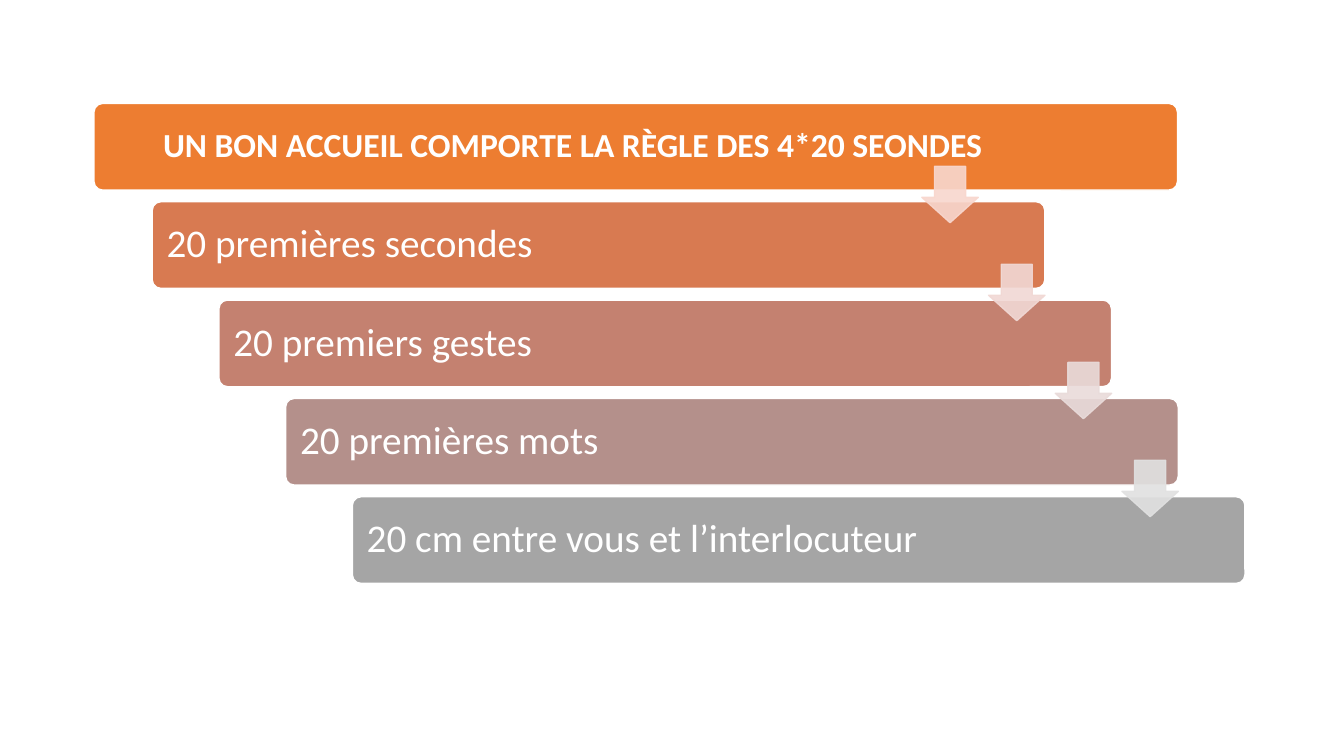
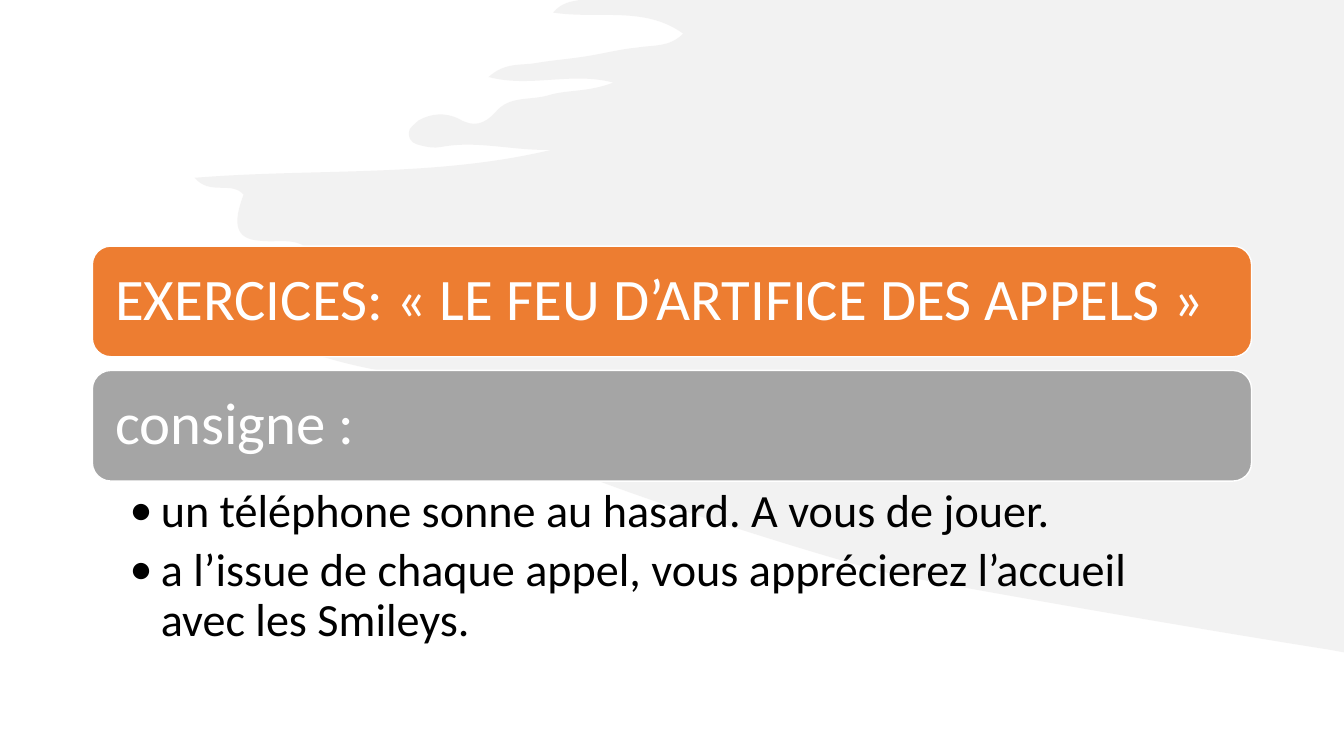
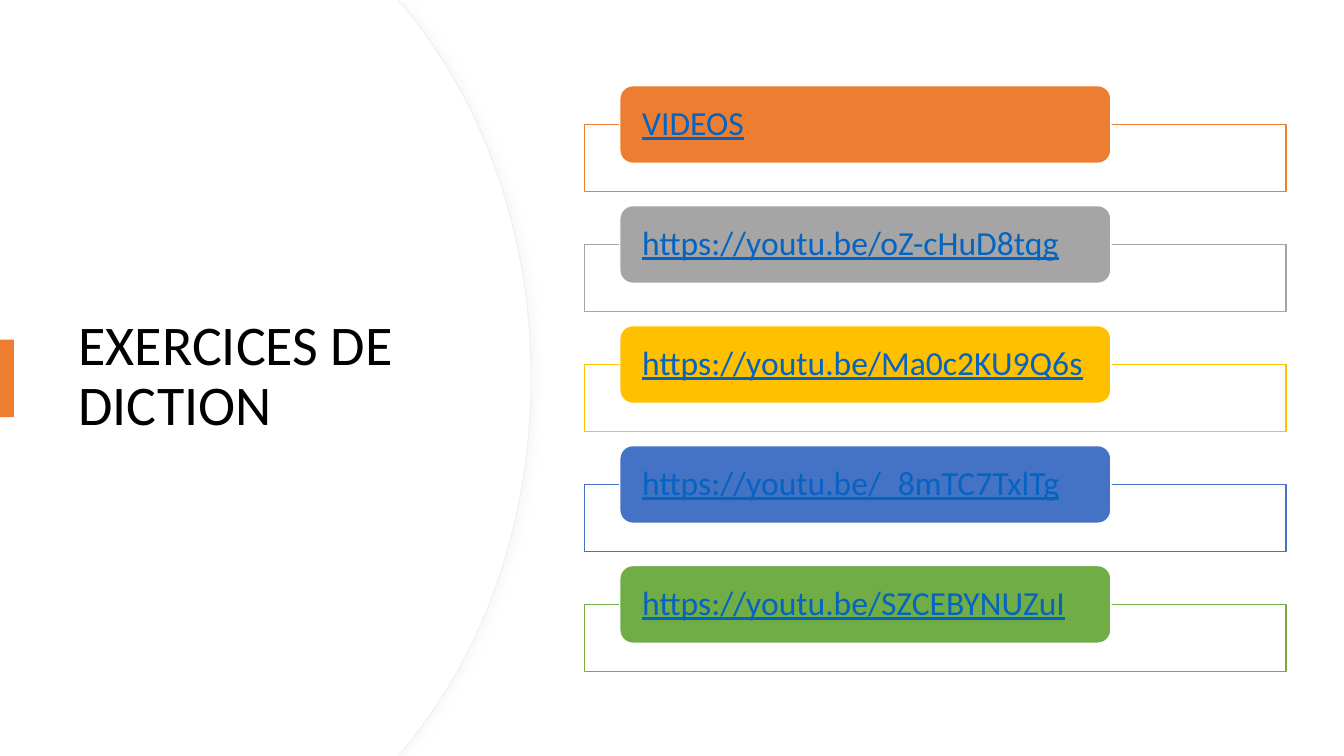
from dataclasses import dataclass
from itertools import chain

from lxml.etree import SubElement
from pptx import Presentation
from pptx.dml.color import RGBColor
from pptx.enum.shapes import MSO_SHAPE as Preset
from pptx.enum.text import MSO_ANCHOR as Anchor, PP_ALIGN as Align
from pptx.oxml.ns import qn
from pptx.util import Pt


@dataclass(frozen=True)
class Theme:
    font: str = "Calibri"
    white: str = "FFFFFF"
    black: str = "000000"
    orange: str = "ED7D31"
    grey: str = "A5A5A5"
    gold: str = "FFC000"
    blue: str = "4472C4"
    green: str = "70AD47"
    link: str = "0563C1"
    splash: str = "E7E6E6"
    disc_edge: str = "EFEFEF"
    disc_shadow: str = "D9D9D9"
    step_fills: tuple = ("D87A51", "C48170", "B4908B", "A5A5A5")
    arrow_fills: tuple = ("F8D7CE", "F1D8D4", "E9DBDA", "E1E1E1")
    small: float = 24
    step: float = 28
    bullet: float = 33
    title: float = 40
    heading: float = 42


THEME = Theme()
WIDTH, HEIGHT = 960, 540

# Each curve: two control points and an end point
SPLASH_CURVES = [
    (408, 1, 401, 2, 395, 9), (428, 14, 460, 4, 488, 24),
    (478, 34, 467, 32, 455, 34), (444, 35, 432, 38, 420, 40),
    (408, 42, 395, 43, 383, 45), (373, 47, 361, 44, 349, 55),
    (379, 63, 408, 51, 438, 59), (420, 66, 405, 64, 392, 68),
    (379, 72, 364, 68, 354, 80), (346, 89, 338, 91, 328, 85),
    (318, 80, 308, 81, 299, 86), (296, 89, 292, 91, 292, 95),
    (292, 102, 297, 103, 301, 104), (305, 105, 310, 106, 315, 105),
    (341, 100, 367, 108, 394, 107), (310, 127, 226, 120, 139, 127),
    (150, 140, 165, 129, 174, 139), (166, 160, 168, 171, 186, 172),
    (202, 174, 219, 166, 228, 191), (230, 199, 246, 197, 256, 198),
    (276, 201, 298, 198, 318, 207), (326, 211, 331, 214, 328, 224),
    (323, 234, 328, 238, 336, 242), (341, 245, 348, 244, 352, 253),
    (308, 252, 266, 245, 222, 252), (270, 269, 322, 269, 369, 289),
    (367, 297, 356, 293, 356, 304), (380, 315, 410, 307, 436, 324),
    (420, 332, 407, 320, 392, 327), (397, 338, 605, 404, 642, 411),
    (704, 423, 860, 450, 949, 464),
]


def rgb(code):
    return RGBColor.from_string(code)


def paint(shape, fill, line=None, line_width=1):
    shape.shadow.inherit = False
    shape.fill.solid()
    shape.fill.fore_color.rgb = rgb(fill)
    if line:
        shape.line.color.rgb = rgb(line)
        shape.line.width = Pt(line_width)
    else:
        shape.line.fill.background()


def fade(shape, percent, line_too=False):
    """Make the fill, and if asked the outline, partly transparent."""
    query = "a:solidFill/a:srgbClr"
    if line_too:
        query += " | a:ln/a:solidFill/a:srgbClr"
    for colour in shape._element.spPr.xpath(query):
        SubElement(colour, qn("a:alpha"), val=str(percent * 1000))


def add_box(slide, preset, area, fill, line=None, adjust=()):
    box = slide.shapes.add_shape(preset, *map(Pt, area))
    for index, value in enumerate(adjust):
        box.adjustments[index] = value
    paint(box, fill, line)
    return box


def write(shape, lines, size, color, insets, anchor=Anchor.MIDDLE,
          align=Align.LEFT, bold=False, underline=False, bullet_indent=0):
    """Fill a shape with paragraphs; insets are left, top, right, bottom."""
    frame = shape.text_frame
    frame.word_wrap = True
    frame.vertical_anchor = anchor
    (frame.margin_left, frame.margin_top,
     frame.margin_right, frame.margin_bottom) = map(Pt, insets)
    for index, line in enumerate(lines):
        paragraph = frame.paragraphs[0] if index == 0 else frame.add_paragraph()
        paragraph.text = line
        paragraph.alignment = align
        paragraph.line_spacing = 0.9
        if bullet_indent:
            props = paragraph._p.get_or_add_pPr()
            props.set("marL", str(Pt(bullet_indent)))
            props.set("indent", str(-Pt(bullet_indent)))
            SubElement(props, qn("a:buFont"), typeface=THEME.font)
            SubElement(props, qn("a:buChar"), char="•")
            paragraph.space_after = Pt(size * 0.2)
        font = paragraph.font
        font.name, font.size, font.bold = THEME.font, Pt(size), bold
        font.underline = underline
        font.color.rgb = rgb(color)


def add_outline(slide, before, curves, after, fill, line=None, line_width=1):
    """Draw a closed outline: straight points, a chain of curves, more points."""
    controls = [pair for curve in curves for pair in zip(curve[::2], curve[1::2])]
    # Hundredths of a point keep the positions exact
    points = [(x * 100, y * 100) for x, y in chain(before, controls, after)]
    builder = slide.shapes.build_freeform(*points[0], scale=Pt(1) / 100)
    builder.add_line_segments(points[1:], close=True)
    outline = builder.convert_to_shape()

    # Join each three segments of the chain into one cubic curve
    segments = outline._element.spPr.xpath(".//a:lnTo")
    first = len(before) - 1
    for start in range(first, first + len(controls), 3):
        curve, *rest = segments[start:start + 3]
        bezier = SubElement(curve.getparent(), qn("a:cubicBezTo"))
        curve.addprevious(bezier)
        for segment in (curve, *rest):
            bezier.append(segment[0])
            segment.getparent().remove(segment)
    paint(outline, fill, line, line_width)
    return outline


def add_soft_shadow(shape, color, blur, distance, percent):
    effects = shape._element.spPr.find(qn("a:effectLst"))
    shadow = SubElement(effects, qn("a:outerShdw"), blurRad=str(Pt(blur)),
                        dist=str(Pt(distance)), dir="0")
    tint = SubElement(shadow, qn("a:srgbClr"), val=color)
    SubElement(tint, qn("a:alpha"), val=str(percent * 1000))


def build_rule_slide(slide):
    # Heading bar
    heading = add_box(slide, Preset.ROUNDED_RECTANGLE, (67.1, 73.9, 774, 61.9),
                      THEME.orange, THEME.white, (0.1,))
    write(heading, ["UN BON ACCUEIL COMPORTE LA RÈGLE DES 4*20 SEONDES"],
          THEME.small, THEME.white, (10, 9, 100, 9),
          align=Align.CENTER, bold=True)

    # Staircase of steps
    steps = ["20 premières secondes", "20 premiers gestes",
             "20 premières mots", "20 cm entre vous et l’interlocuteur"]
    shift, drop = 47.65, 70.25
    for index, (step, fill) in enumerate(zip(steps, THEME.step_fills)):
        bar = add_box(slide, Preset.ROUNDED_RECTANGLE,
                      (108.7 + index * shift, 144.1 + index * drop, 637.6, 61.9),
                      fill, THEME.white, (0.1,))
        write(bar, [step], THEME.step, THEME.white, (8.5, 9, 90, 9))

    # Arrows from each bar to the next
    for index, fill in enumerate(THEME.arrow_fills):
        arrow = add_box(slide, Preset.DOWN_ARROW,
                        (658.5 + index * shift, 118.8 + index * 70, 40.3, 40.3),
                        fill, fill, (0.55, 0.45))
        fade(arrow, 90, line_too=True)


def build_exercise_slide(slide):
    # Background splash
    splash = add_outline(slide, [(WIDTH, 0), (414, 0)], SPLASH_CURVES,
                         [(WIDTH, 466)], THEME.splash)
    fade(splash, 50)

    # Heading bars
    headings = [("EXERCICES: « LE FEU D’ARTIFICE DES APPELS »", THEME.orange),
                ("consigne :", THEME.grey)]
    for index, (heading, fill) in enumerate(headings):
        bar = add_box(slide, Preset.ROUNDED_RECTANGLE,
                      (66, 175.8 + index * 88.8, 828, 79), fill, THEME.white)
        write(bar, [heading], THEME.heading, THEME.white, (12.5, 12, 12.5, 12))

    # Instructions
    instructions = slide.shapes.add_textbox(*map(Pt, (66, 344, 828, 127)))
    write(instructions,
          ["un téléphone sonne au hasard. A vous de jouer.",
           "a l’issue de chaque appel, vous apprécierez l’accueil avec les "
           "Smileys."],
          THEME.bullet, THEME.black, (26.6, 4.3, 23.8, 4.3),
          anchor=Anchor.TOP, bullet_indent=22.3)


def build_diction_slide(slide):
    # Large disc cut by the left edge, with a plain face over its rim
    def add_disc(reach, **outline):
        bulge = reach - 34
        curves = [(reach - 90, 6, reach - 90, 6, reach - 90, 6),
                  (bulge, 73.4, reach, 167, reach, 270),
                  (reach, 373, bulge, 466.6, reach - 90, 534)]
        return add_outline(slide, [(0, 0), (283.7, 0), (reach - 90, 6)],
                           curves[1:], [(283.7, HEIGHT), (0, HEIGHT)],
                           THEME.white, **outline)

    rim = add_disc(379.4, line=THEME.disc_edge, line_width=0.75)
    add_soft_shadow(rim, THEME.disc_shadow, 7, 3, 20)
    add_disc(378.7)

    # Title and its accent
    title = slide.shapes.add_textbox(*map(Pt, (49, 91.4, 284, 356.4)))
    write(title, ["EXERCICES DE DICTION"], THEME.title, THEME.black,
          (7.2, 3.6, 7.2, 3.6))
    add_box(slide, Preset.RECTANGLE, (0, 242.6, 10, 55.4), THEME.orange)

    # Links, each on a tab over an outlined panel
    links = [("VIDEOS", THEME.orange),
             ("https://youtu.be/oZ-cHuD8tqg", THEME.grey),
             ("https://youtu.be/Ma0c2KU9Q6s", THEME.gold),
             ("https://youtu.be/_8mTC7TxlTg", THEME.blue),
             ("https://youtu.be/SZCEBYNUZuI", THEME.green)]
    for index, (link, color) in enumerate(links):
        top = 61.2 + index * 85.7
        panel = add_box(slide, Preset.RECTANGLE, (417.6, top + 27.8, 501, 47.8),
                        THEME.white, color)
        fade(panel, 90)
        tab = add_box(slide, Preset.ROUNDED_RECTANGLE, (442.7, top, 350.8, 55.5),
                      color, THEME.white)
        write(tab, [link], THEME.small, THEME.link, (13.2, 0, 8, 0),
              underline=True)


def main():
    deck = Presentation()
    deck.slide_width, deck.slide_height = Pt(WIDTH), Pt(HEIGHT)
    blank = deck.slide_layouts[6]
    for build in (build_rule_slide, build_exercise_slide, build_diction_slide):
        build(deck.slides.add_slide(blank))
    deck.save("out.pptx")


if __name__ == "__main__":
    main()
